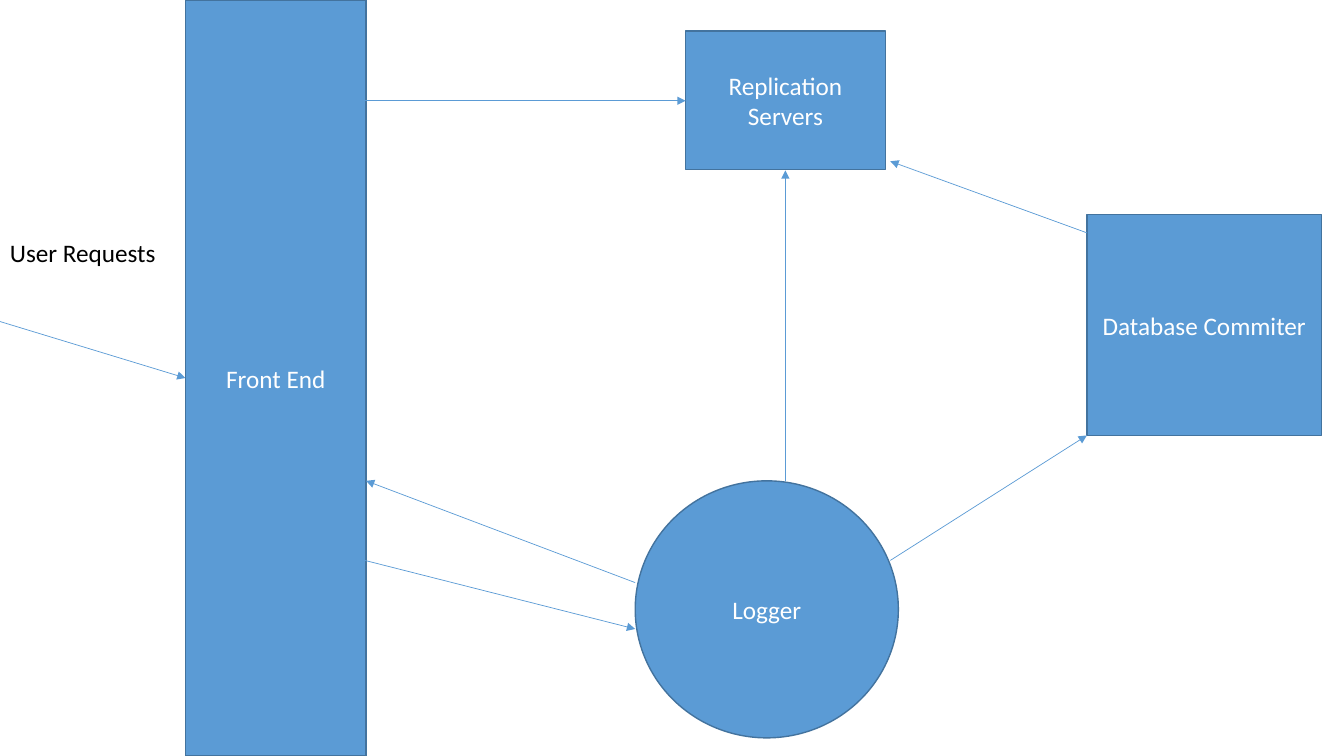
from pptx import Presentation
from pptx.dml.color import RGBColor
from pptx.enum.shapes import MSO_CONNECTOR, MSO_SHAPE
from pptx.enum.text import MSO_ANCHOR, MSO_AUTO_SIZE, PP_ALIGN
from pptx.oxml.ns import qn
from pptx.util import Inches, Pt
from lxml import etree

RECTANGLE, ELLIPSE = MSO_SHAPE.RECTANGLE, MSO_SHAPE.OVAL
STRAIGHT = MSO_CONNECTOR.STRAIGHT
MIDDLE = MSO_ANCHOR.MIDDLE
LEFT, CENTER = PP_ALIGN.LEFT, PP_ALIGN.CENTER
FIT_SHAPE = MSO_AUTO_SIZE.SHAPE_TO_FIT_TEXT

COLORS = {"fill": "5B9BD5", "outline": "43739E", "arrow": "5B9BD5",
          "light": "FFFFFF", "dark": "000000"}


class Diagram:
    """Holds the diagram's style and the slide being drawn."""

    def __init__(self, page):
        """Keep the page with the font settings."""
        self.page = page
        self.font = "Calibri"
        self.size = Pt(18)

    def color(self, name):
        """Look up a named colour."""
        return RGBColor.from_string(COLORS[name])

    def set_text(self, frame, text, color, align):
        """Set and format the text of a frame."""
        frame.text = text
        para = frame.paragraphs[0]
        para.alignment = align
        for span in para.runs:
            span.font.name = self.font
            span.font.size = self.size
            span.font.color.rgb = self.color(color)

    def node(self, kind, text, left, top, width, height):
        """Draw a filled component with a centred name."""
        box = self.page.shapes.add_shape(
            kind, Inches(left), Inches(top), Inches(width), Inches(height))
        box.shadow.inherit = False
        box.fill.solid()
        box.fill.fore_color.rgb = self.color("fill")
        box.line.color.rgb = self.color("outline")
        box.line.width = Pt(1)
        box.text_frame.word_wrap = True
        box.text_frame.vertical_anchor = MIDDLE
        self.set_text(box.text_frame, text, "light", CENTER)

    def label(self, text, left, top, width, height):
        """Place an unwrapped text label."""
        box = self.page.shapes.add_textbox(
            Inches(left), Inches(top), Inches(width), Inches(height))
        box.text_frame.word_wrap = False
        box.text_frame.auto_size = FIT_SHAPE
        self.set_text(box.text_frame, text, "dark", LEFT)

    def arrow(self, start, end):
        """Draw a thin straight arrow from start to end."""
        line = self.page.shapes.add_connector(
            STRAIGHT, *(Inches(value) for value in (*start, *end)))
        line.line.color.rgb = self.color("arrow")
        line.line.width = Pt(0.5)
        properties = line._element.spPr
        outline = properties.find(qn("a:ln"))
        etree.SubElement(outline, qn("a:tailEnd"), type="triangle")
        etree.SubElement(properties, qn("a:effectLst"))


deck = Presentation()
deck.slide_width, deck.slide_height = Inches(13.33), Inches(7.5)
diagram = Diagram(deck.slides.add_slide(deck.slide_layouts[6]))

NODES = [
    (RECTANGLE, "Front End", 1.84, 0, 1.79, 7.5),
    (ELLIPSE, "Logger", 6.3, 4.77, 2.61, 2.55),
    (RECTANGLE, "Replication Servers", 6.8, 0.31, 1.98, 1.37),
    (RECTANGLE, "Database Commiter", 10.78, 2.13, 2.33, 2.19),
]
for node in NODES:
    diagram.node(*node)

diagram.label("User Requests", 0, 2.31, 1.66, 0.4)

ARROWS = {
    "user to front end": ((0, 3.19), (1.84, 3.75)),
    "logger to front end": ((6.3, 5.78), (3.63, 4.77)),
    "front end to logger": ((3.62, 5.56), (6.3, 6.24)),
    "logger to replication": ((7.79, 4.77), (7.79, 1.69)),
    "front end to replication": ((3.56, 1), (6.8, 1)),
    "logger to committer": ((8.83, 5.56), (10.78, 4.32)),
    "committer to replication": ((10.78, 2.31), (8.83, 1.6)),
}
for start, end in ARROWS.values():
    diagram.arrow(start, end)

deck.save("out.pptx")
